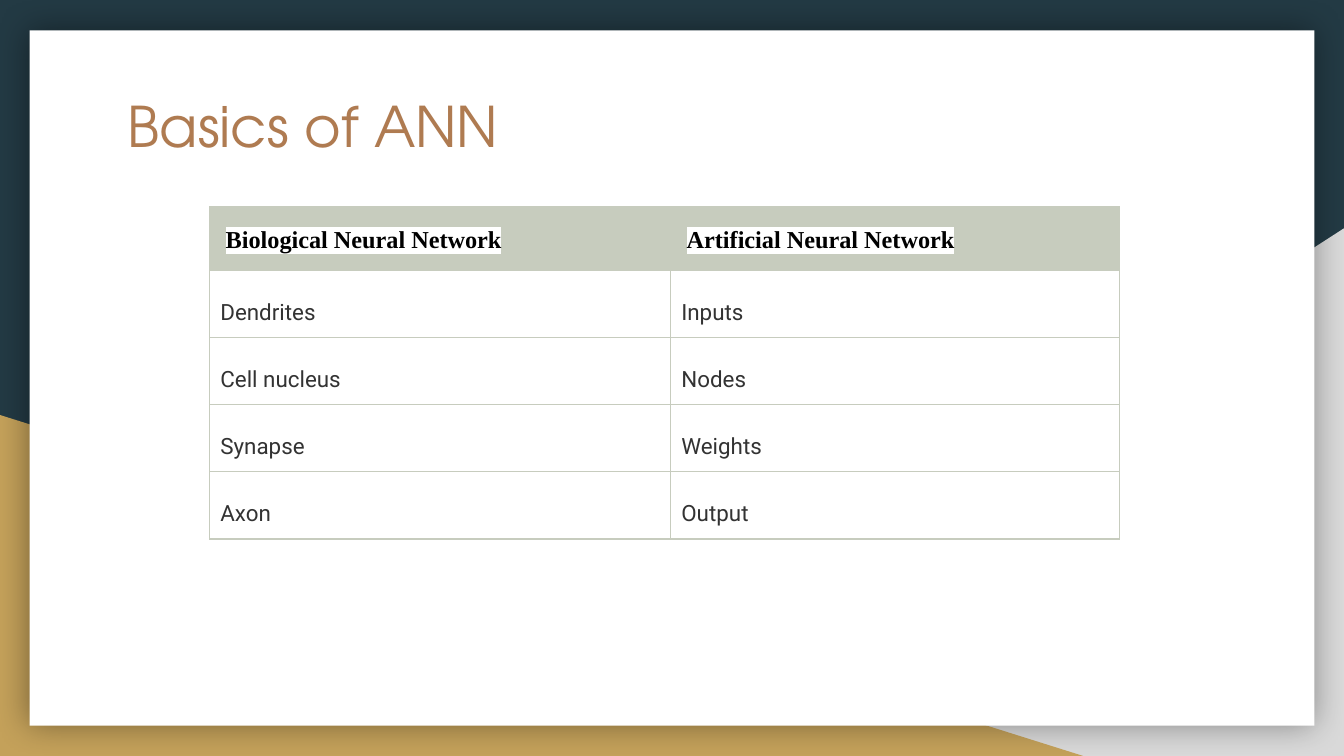
from typing import NamedTuple

from lxml import etree
from pptx import Presentation
from pptx.dml.color import RGBColor
from pptx.enum.shapes import MSO_SHAPE
from pptx.enum.text import MSO_ANCHOR, PP_ALIGN
from pptx.oxml import parse_xml
from pptx.oxml.ns import nsdecls, qn
from pptx.util import Inches, Pt

TRIANGLE, RECTANGLE = MSO_SHAPE.RIGHT_TRIANGLE, MSO_SHAPE.RECTANGLE
LEFT, JUSTIFY = PP_ALIGN.LEFT, PP_ALIGN.JUSTIFY
TOP = MSO_ANCHOR.TOP
WIDTH = Inches(10)
HEIGHT = WIDTH * 9 // 16
NAVY, GREY, GOLD, WHITE = "233A44", "D9D9D9", "C4A15A", "FFFFFF"
BROWN, SAGE, BLACK, CHARCOAL = "AF7B51", "C7CCBE", "000000", "333333"


class Panel(NamedTuple):
    """Place and size are percentages of the slide."""
    left: float
    top: float
    width: float
    height: float
    color: str
    kind: int = TRIANGLE
    flipped: bool = False
    shadowed: bool = False


class CellStyle(NamedTuple):
    font: str
    size: float
    color: str
    bold: bool
    fill: str
    inset: float
    spacing: float
    align: int
    highlight: str = ""


PANELS = [
    Panel(39.2, 30.2, 60.8, 69.8, GREY, flipped=True),
    Panel(0, 54.9, 80.6, 45.1, GOLD),
    Panel(2.2, 4, 95.6, 92, WHITE, RECTANGLE, shadowed=True),
]
HEADER = CellStyle("Times New Roman", 13, BLACK, True, SAGE, 0.12, 1.15, LEFT, WHITE)
BODY = CellStyle("Roboto", 12, CHARCOAL, False, WHITE, 0.08, 1.7, JUSTIFY)
ROWS = [
    ("Biological Neural Network", "Artificial Neural Network"),
    ("Dendrites", "Inputs"),
    ("Cell nucleus", "Nodes"),
    ("Synapse", "Weights"),
    ("Axon", "Output"),
]
COLUMN_WIDTHS = (3.43, 3.34)
HEADER_HEIGHT, ROW_HEIGHT = 0.47, 0.5


def rgb(color: str) -> RGBColor:
    return RGBColor.from_string(color)


def paint(target, color: str) -> None:
    target.fill.solid()
    target.fill.fore_color.rgb = rgb(color)


def set_font(font, name: str, size: float, color: str, bold: bool = False) -> None:
    font.name, font.size, font.bold = name, Pt(size), bold
    font.color.rgb = rgb(color)


def add_panel(slide, panel: Panel) -> None:
    sp = slide.shapes.add_shape(
        panel.kind, round(panel.left * WIDTH / 100), round(panel.top * HEIGHT / 100),
        round(panel.width * WIDTH / 100), round(panel.height * HEIGHT / 100))
    paint(sp, panel.color)
    sp.line.fill.background()
    sp.shadow.inherit = False
    props = sp._element.spPr
    if panel.flipped:
        props.find(qn("a:xfrm")).set("flipH", "1")
    if panel.shadowed:
        props.find(qn("a:effectLst")).append(parse_xml(
            f'<a:outerShdw {nsdecls("a")} blurRad="{Pt(18)}" dist="0" algn="ctr" '
            f'rotWithShape="0"><a:srgbClr val="{BLACK}"><a:alpha val="40000"/>'
            '</a:srgbClr></a:outerShdw>'))


def add_title(slide, text: str) -> None:
    title = slide.shapes.title
    title.left, title.top = Inches(0.85), Inches(0.58)
    title.width, title.height = Inches(3.11), Inches(0.73)
    tf = title.text_frame
    tf.text = text
    tf.word_wrap = True
    tf.vertical_anchor = TOP
    tf.margin_left = tf.margin_right = tf.margin_top = tf.margin_bottom = Inches(0.1)
    p = tf.paragraphs[0]
    p.alignment = LEFT
    set_font(p.runs[0].font, "TeX Gyre Adventor", 30, BROWN)


def add_borders(cell, color: str) -> None:
    props = cell._tc.get_or_add_tcPr()
    for i, side in enumerate(("lnL", "lnR", "lnT", "lnB")):
        props.insert(i, parse_xml(
            f'<a:{side} {nsdecls("a")} w="{Pt(0.75)}"><a:solidFill>'
            f'<a:srgbClr val="{color}"/></a:solidFill></a:{side}>'))


def add_highlight(r, color: str) -> None:
    highlight = etree.Element(qn("a:highlight"))
    etree.SubElement(highlight, qn("a:srgbClr"), val=color)
    r.font._element.find(qn("a:solidFill")).addnext(highlight)


def fill_cell(cell, text: str, style: CellStyle) -> None:
    cell.text = text
    cell.margin_left = cell.margin_right = Inches(style.inset)
    cell.margin_top = cell.margin_bottom = Inches(style.inset)
    paint(cell, style.fill)
    add_borders(cell, SAGE)
    p = cell.text_frame.paragraphs[0]
    p.alignment, p.line_spacing = style.align, style.spacing
    r = p.runs[0]
    set_font(r.font, style.font, style.size, style.color, style.bold)
    if style.highlight:
        add_highlight(r, style.highlight)


def add_comparison(slide) -> None:
    heights = [HEADER_HEIGHT] + [ROW_HEIGHT] * (len(ROWS) - 1)
    table = slide.shapes.add_table(
        len(ROWS), len(COLUMN_WIDTHS), Inches(1.56), Inches(1.54),
        Inches(sum(COLUMN_WIDTHS)), Inches(sum(heights))).table
    table.horz_banding = False
    for column, width in zip(table.columns, COLUMN_WIDTHS):
        column.width = Inches(width)
    for i, (row, height, texts) in enumerate(zip(table.rows, heights, ROWS)):
        row.height = Inches(height)
        for cell, text in zip(row.cells, texts):
            fill_cell(cell, text, BODY if i else HEADER)


def main() -> None:
    prs = Presentation()
    prs.slide_width, prs.slide_height = WIDTH, HEIGHT
    slide = prs.slides.add_slide(prs.slide_layouts.get_by_name("Title Only"))
    paint(slide.background, NAVY)
    for panel in PANELS:
        add_panel(slide, panel)
    add_title(slide, "Basics of ANN")
    # The title placeholder comes first in the tree; lift it above the panels.
    slide.shapes._spTree.append(slide.shapes.title._element)
    add_comparison(slide)
    prs.save("out.pptx")


if __name__ == "__main__":
    main()
